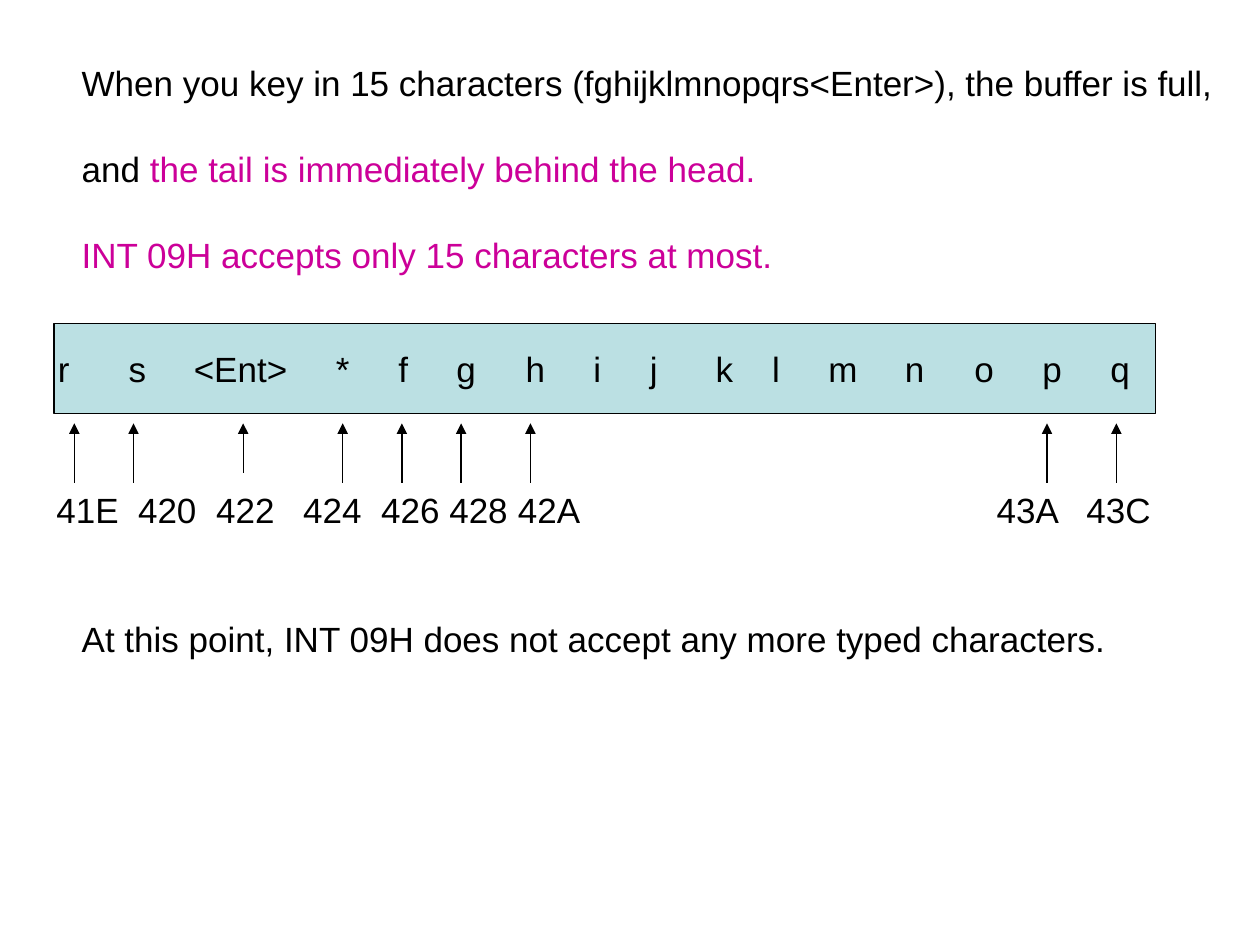
from dataclasses import dataclass

from lxml.etree import SubElement
from pptx import Presentation
from pptx.dml.color import RGBColor
from pptx.enum.shapes import MSO_CONNECTOR as Connector, MSO_SHAPE as Shape
from pptx.enum.text import MSO_ANCHOR as Anchor, PP_ALIGN as Align
from pptx.oxml.ns import qn
from pptx.util import Inches, Pt


@dataclass(frozen=True)
class Theme:
    """Colours, font and sizes of the slide."""
    ink: RGBColor = RGBColor(0x00, 0x00, 0x00)
    accent: RGBColor = RGBColor(0xCC, 0x00, 0x99)
    cell: RGBColor = RGBColor(0xBB, 0xE0, 0xE3)
    font: str = "Arial"
    size: Pt = Pt(20)
    gap: Pt = Pt(25)
    rule: Pt = Pt(0.75)


THEME = Theme()
KEYS = [("r", 0.51), ("s", 1.09), ("<Ent>", 1.91), ("*", 2.72), ("f", 3.2),
        ("g", 3.7), ("h", 4.25), ("i", 4.74), ("j", 5.19), ("k", 5.75),
        ("l", 6.16), ("m", 6.69), ("n", 7.26), ("o", 7.81), ("p", 8.35), ("q", 8.89)]
ADDRESSES = [("41E", 0.7), ("420", 1.33), ("422", 1.95), ("424", 2.64), ("426", 3.26),
             ("428", 3.8), ("42A", 4.36), ("43A", 8.16), ("43C", 8.88)]
POINTERS = [0.59, 1.06, 1.93, 2.72, 3.19, 3.66, 4.21, 8.31, 8.86]
SHORT_POINTER = 1.93


def style(paragraph, color=THEME.ink):
    """Apply the common font to a paragraph."""
    paragraph.alignment = Align.LEFT
    paragraph.font.name = THEME.font
    paragraph.font.size = THEME.size
    paragraph.font.color.rgb = color


def set_frame(frame, inset=0.1):
    """Wrap a text frame and keep its right edge free."""
    frame.word_wrap = True
    frame.margin_left, frame.margin_right = Inches(inset), 0
    return frame


def add_message(slide, left, top, width, height, lines):
    """Write lines, each a list of (text, colour) parts."""
    box = slide.shapes.add_textbox(Inches(left), Inches(top), Inches(width), Inches(height))
    frame = set_frame(box.text_frame)
    for index, parts in enumerate(lines):
        line = frame.add_paragraph() if index else frame.paragraphs[0]
        if index:
            line.space_before = THEME.gap
        style(line, parts[0][1])
        for text, color in parts:
            part = line.add_run()
            part.text = text
            if color != parts[0][1]:
                part.font.color.rgb = color


def set_row(frame, entries, origin):
    """Write entries on one line, centred on tab stops measured from origin."""
    row = frame.paragraphs[0]
    row.text = "\t".join(text for text, _ in entries)
    stops = SubElement(row._p.get_or_add_pPr(), qn("a:tabLst"))
    for _, center in entries[1:]:
        SubElement(stops, qn("a:tab"), pos=str(Inches(center - origin)), algn="ctr")
    style(row)


def add_pointer(group, x, bottom, top):
    """Draw an upward arrow."""
    pointer = group.shapes.add_connector(
        Connector.STRAIGHT, Inches(x), Inches(bottom), Inches(x), Inches(top))
    pointer.line.color.rgb = THEME.ink
    pointer.line.width = THEME.rule
    SubElement(pointer.line._get_or_add_ln(), qn("a:tailEnd"), type="triangle")
    SubElement(pointer._element.spPr, qn("a:effectLst"))


def add_buffer(slide, left, top, width, height):
    """Draw the keyboard buffer with its pointers and addresses."""
    group = slide.shapes.add_group_shape()
    buffer = group.shapes.add_shape(
        Shape.RECTANGLE, Inches(left), Inches(top), Inches(width), Inches(height))
    buffer.shadow.inherit = False
    buffer.fill.solid()
    buffer.fill.fore_color.rgb = THEME.cell
    buffer.line.color.rgb = THEME.ink
    buffer.line.width = THEME.rule
    key_inset = 0.03
    keys = set_frame(buffer.text_frame, key_inset)
    keys.vertical_anchor = Anchor.MIDDLE
    set_row(keys, KEYS, left + key_inset)

    pointer_top = top + height + 0.08
    address_top = top + height + 0.55
    label_left = left - 0.08
    labels = group.shapes.add_textbox(
        Inches(label_left), Inches(address_top), Inches(8.9), Inches(0.44))
    set_row(set_frame(labels.text_frame), ADDRESSES, label_left + 0.1)
    for x in POINTERS:
        bottom = address_top - (0.08 if x == SHORT_POINTER else 0)
        add_pointer(group, x, bottom, pointer_top)


def main():
    """Build and save the slide."""
    deck = Presentation()
    deck.slide_width, deck.slide_height = Inches(10), Inches(7.5)
    slide = deck.slides.add_slide(deck.slide_layouts[6])
    add_message(slide, 0.55, 0.44, 9.26, 2.1, [
        [("When you key in 15 characters (fghijklmnopqrs<Enter>), the buffer is full,",
          THEME.ink)],
        [("and ", THEME.ink), ("the tail is immediately behind the head.", THEME.accent)],
        [("INT 09H accepts only 15 characters at most.", THEME.accent)],
    ])
    add_buffer(slide, 0.43, 2.57, 8.74, 0.71)
    add_message(slide, 0.55, 4.85, 8.34, 0.44, [
        [("At this point, INT 09H does not accept any more typed characters.", THEME.ink)]])
    deck.save("out.pptx")


if __name__ == "__main__":
    main()
